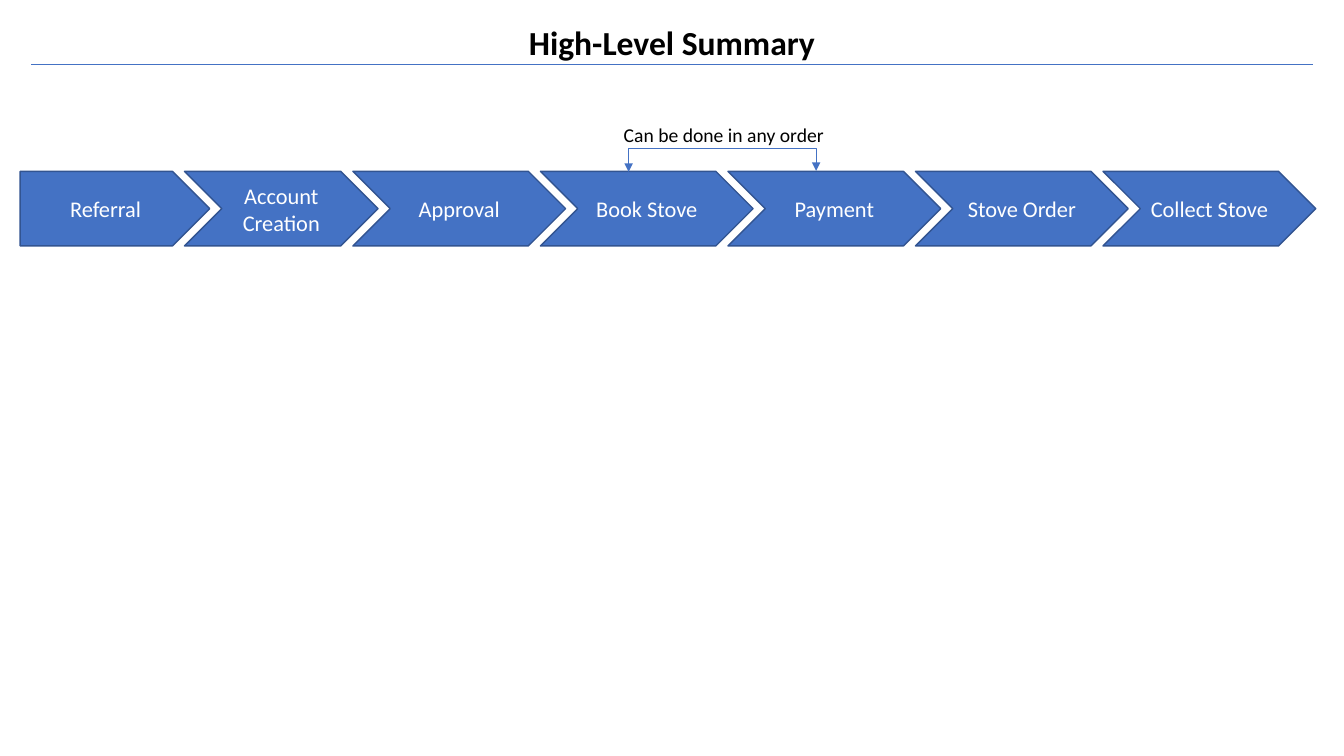
from lxml import etree
from pptx import Presentation
from pptx.dml.color import RGBColor
from pptx.enum.shapes import MSO_CONNECTOR, MSO_SHAPE
from pptx.enum.text import MSO_ANCHOR, MSO_AUTO_SIZE, PP_ALIGN
from pptx.oxml.ns import qn
from pptx.util import Emu, Pt

PENTAGON, CHEVRON = MSO_SHAPE.PENTAGON, MSO_SHAPE.CHEVRON
STRAIGHT, ELBOW = MSO_CONNECTOR.STRAIGHT, MSO_CONNECTOR.ELBOW

# Content: step label and width in px
TITLE = "High-Level Summary"
NOTE = "Can be done in any order"
STEPS = [
    ("Referral", 188),
    ("Account Creation", 192),
    ("Approval", 211),
    ("Book Stove", 211),
    ("Payment", 211),
    ("Stove Order", 211),
    ("Collect Stove", 211),
]
SWAPPABLE = ("Book Stove", "Payment")

THEME = {
    "font": "Calibri",
    "blue": RGBColor(0x44, 0x72, 0xC4),
    "edge": RGBColor(0x32, 0x54, 0x91),
    "white": RGBColor(255, 255, 255),
    "black": RGBColor(0, 0, 0),
    "title": 24, "step": 16, "note": 14,
    "thin": 0.5, "outline": 1,
}

# Layout in px, 100 to the inch
EMU_PER_PX = 9144
SLIDE_W, SLIDE_H = 1333, 750
FLOW_LEFT, FLOW_TOP, STEP_H, OVERLAP = 20, 170, 74, 25
BRACKET_RISE = 24


def px(length):
    return Emu(round(length * EMU_PER_PX))


def box(*lengths):
    return [px(length) for length in lengths]


def write(frame, text, size, color, bold=False):
    frame.word_wrap = True
    frame.text = text
    paragraph = frame.paragraphs[0]
    paragraph.alignment = PP_ALIGN.CENTER
    font = paragraph.runs[0].font
    font.name, font.size, font.bold = THEME["font"], Pt(size), bold
    font.color.rgb = color


def add_label(text, place, size, bold=False):
    frame = slide.shapes.add_textbox(*box(*place)).text_frame
    write(frame, text, size, THEME["black"], bold)
    frame.auto_size = MSO_AUTO_SIZE.SHAPE_TO_FIT_TEXT


def add_thin_line(kind, *ends):
    line = slide.shapes.add_connector(kind, *box(*ends))
    line.line.color.rgb = THEME["blue"]
    line.line.width = Pt(THEME["thin"])
    etree.SubElement(line.element.spPr, qn("a:effectLst"))
    return line


prs = Presentation()
prs.slide_width, prs.slide_height = box(SLIDE_W, SLIDE_H)
slide = prs.slides.add_slide(prs.slide_layouts[6])

# Title and rule
add_label(TITLE, (296, 17, 741, 50), THEME["title"], bold=True)
add_thin_line(STRAIGHT, 31, 64, 1302, 64)

# Process steps
top_middles = {}
left = FLOW_LEFT
for index, (label, width) in enumerate(STEPS):
    step = slide.shapes.add_shape(
        CHEVRON if index else PENTAGON, *box(left, FLOW_TOP, width, STEP_H))
    step.shadow.inherit = False
    step.fill.solid()
    step.fill.fore_color.rgb = THEME["blue"]
    step.line.color.rgb = THEME["edge"]
    step.line.width = Pt(THEME["outline"])
    step.text_frame.vertical_anchor = MSO_ANCHOR.MIDDLE
    write(step.text_frame, label, THEME["step"], THEME["white"])
    top_middles[label] = left + (width - STEP_H / 2) / 2
    left += width - OVERLAP

# Bracket over the swappable steps: an elbow 1 px wide, turned by 90 degrees
start, end = (top_middles[label] for label in SWAPPABLE)
middle, half_span = (start + end) / 2, (end - start) / 2
bracket = add_thin_line(ELBOW, middle + 1, FLOW_TOP + half_span,
                        middle, FLOW_TOP - half_span)
properties = bracket.element.spPr
properties.find(qn("a:xfrm")).set("rot", str(90 * 60000))
adjustments = properties.find(qn("a:prstGeom")).get_or_add_avLst()
etree.SubElement(adjustments, qn("a:gd"), name="adj1",
                 fmla=f"val {BRACKET_RISE * 100000}")
for arrowhead in ("a:headEnd", "a:tailEnd"):
    etree.SubElement(properties.find(qn("a:ln")), qn(arrowhead), type="triangle")

# Note above the bracket
add_label(NOTE, (563, 117, 310, 34), THEME["note"])

prs.save("out.pptx")
